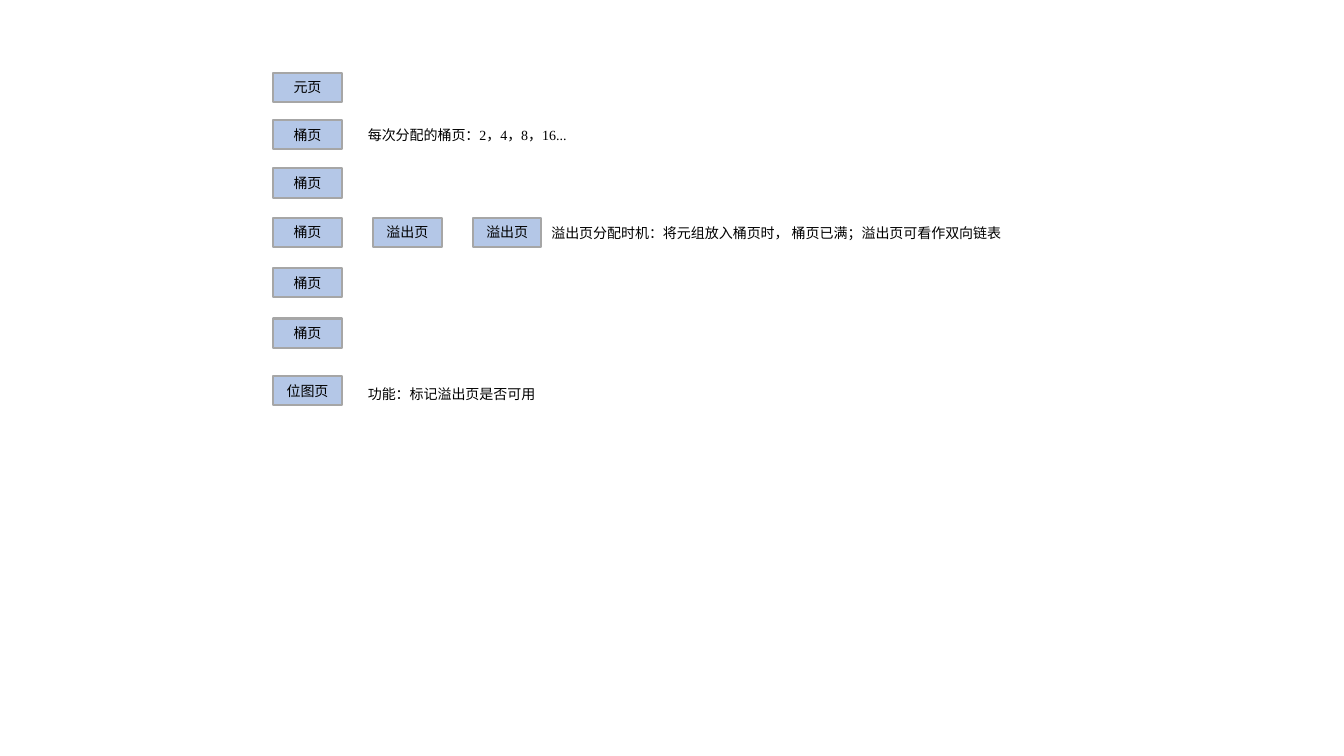
from dataclasses import dataclass

from pptx import Presentation
from pptx.dml.color import RGBColor
from pptx.enum.shapes import MSO_SHAPE as Preset
from pptx.enum.text import MSO_ANCHOR as Anchor, MSO_AUTO_SIZE as AutoSize, PP_ALIGN as Align
from pptx.util import Inches, Pt


@dataclass(frozen=True)
class Theme:
    font: str = "Times New Roman"
    size: Pt = Pt(10)
    text: RGBColor = RGBColor(0x00, 0x00, 0x00)
    page_fill: RGBColor = RGBColor(0xB4, 0xC7, 0xE7)
    page_border: RGBColor = RGBColor(0xA6, 0xA6, 0xA6)
    border_width: Pt = Pt(1.5)


THEME = Theme()
PAGE_LEFT, PAGE_PITCH = 2.71, 0.99
PAGE_WIDTH, PAGE_HEIGHT = 0.68, 0.29
NOTE_HEIGHT = 0.27

PAGE_ROWS = [
    (0.72, ["元页"]),
    (1.19, ["桶页"]),
    (1.67, ["桶页"]),
    (2.16, ["桶页", "溢出页", "溢出页"]),
    (2.66, ["桶页"]),
    (3.16, ["桶页"]),
    (3.73, ["位图页"]),
]
NOTES = [
    (3.55, 1.21, 2.27, "每次分配的桶页：2，4，8，16..."),
    (5.37, 2.18, 4.71, "溢出页分配时机：将元组放入桶页时， 桶页已满；溢出页可看作双向链表"),
    (3.55, 3.78, 2.27, "功能：标记溢出页是否可用"),
]


def write_text(frame, wording, align):
    frame.word_wrap = True
    paragraph = frame.paragraphs[0]
    paragraph.text = wording
    paragraph.alignment = align
    paragraph.font.name = THEME.font
    paragraph.font.size = THEME.size
    paragraph.font.color.rgb = THEME.text


def add_page(slide, left, top, label):
    page = slide.shapes.add_shape(
        Preset.RECTANGLE, Inches(left), Inches(top), Inches(PAGE_WIDTH), Inches(PAGE_HEIGHT)
    )
    page.shadow.inherit = False
    page.fill.solid()
    page.fill.fore_color.rgb = THEME.page_fill
    page.line.color.rgb = THEME.page_border
    page.line.width = THEME.border_width
    page.text_frame.vertical_anchor = Anchor.MIDDLE
    write_text(page.text_frame, label, Align.CENTER)


def add_note(slide, left, top, width, wording):
    note = slide.shapes.add_textbox(
        Inches(left), Inches(top), Inches(width), Inches(NOTE_HEIGHT)
    )
    write_text(note.text_frame, wording, Align.LEFT)
    note.text_frame.auto_size = AutoSize.SHAPE_TO_FIT_TEXT


def main():
    deck = Presentation()
    deck.slide_width, deck.slide_height = Inches(13.33), Inches(7.5)
    slide = deck.slides.add_slide(deck.slide_layouts[6])
    for top, labels in PAGE_ROWS:
        for column, label in enumerate(labels):
            add_page(slide, PAGE_LEFT + column * PAGE_PITCH, top, label)
    for note in NOTES:
        add_note(slide, *note)
    deck.save("out.pptx")


if __name__ == "__main__":
    main()
